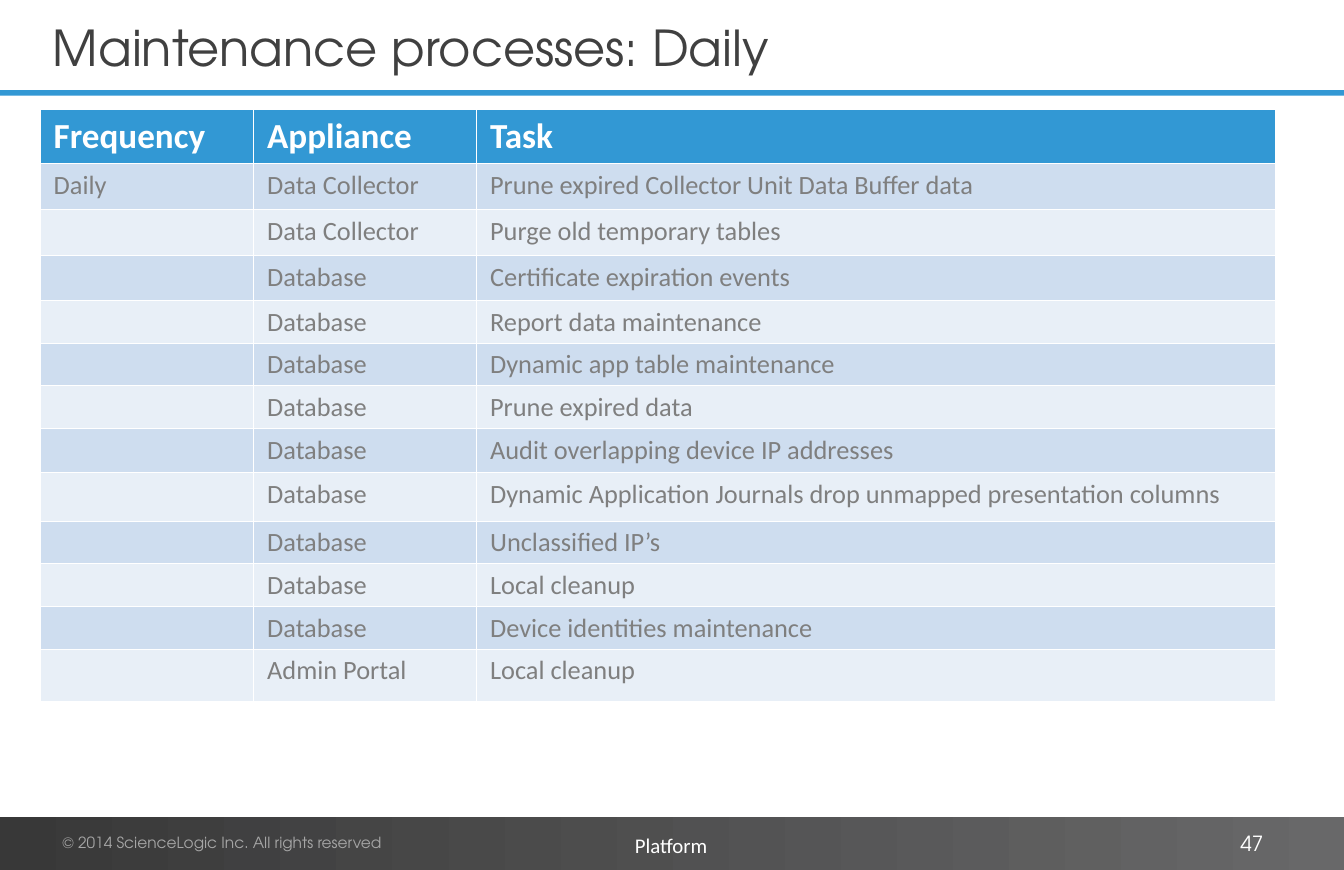
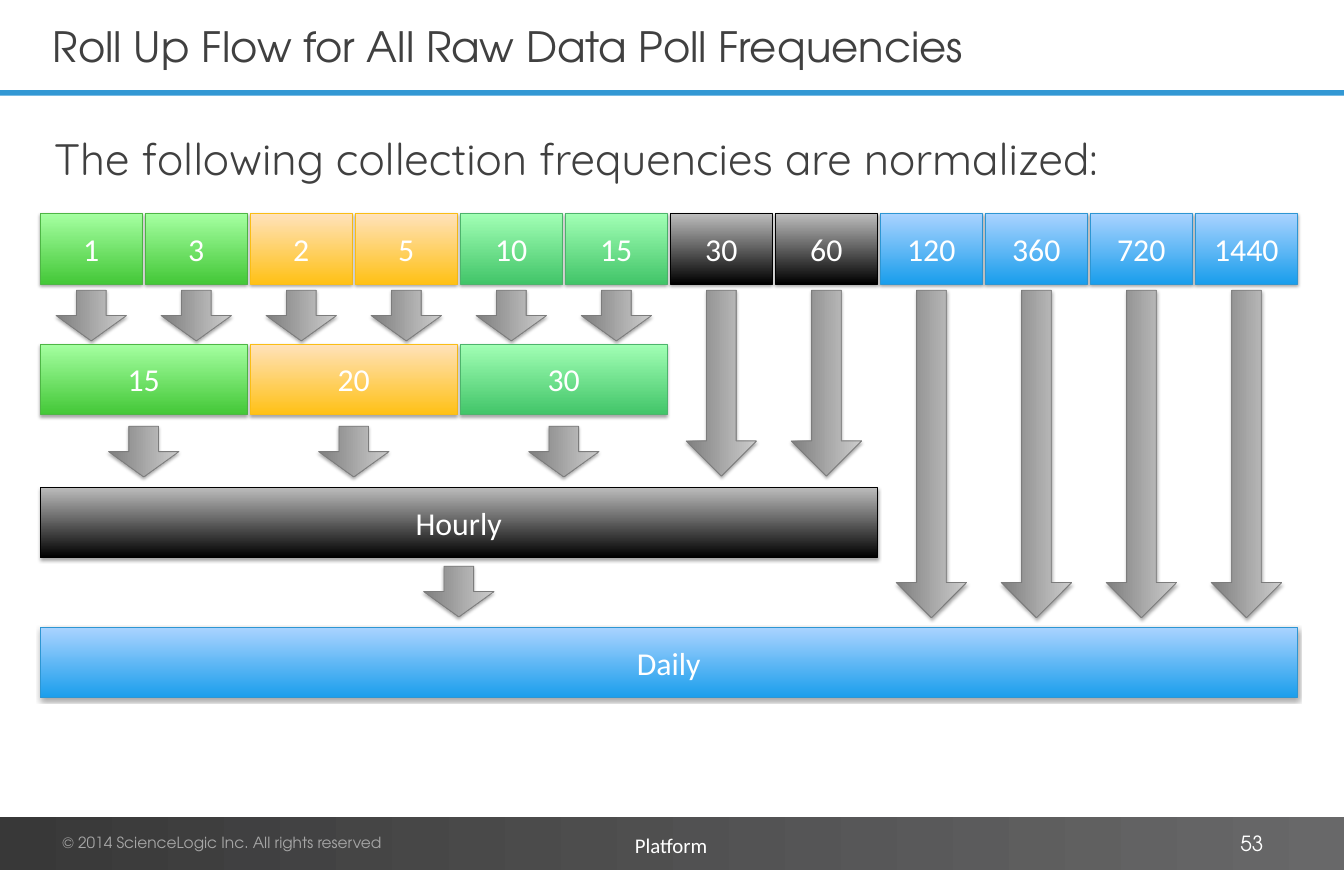
"""Build the daily maintenance table and the data roll-up flow slides."""
from dataclasses import dataclass

from lxml import etree
from pptx import Presentation
from pptx import presentation as pres
from pptx import slide as sl
from pptx import util as u
from pptx.dml import color as dc
from pptx.dml import fill as df
from pptx.enum import shapes, text
from pptx.oxml import ns
from pptx.shapes import autoshape as auto
from pptx.text import text as tx

COLORS = {
    "accent": "3298D4", "white": "FFFFFF", "title": "404040",
    "copyright": "A6A6A6", "cell": "7F7F7F", "black": "000000",
    "odd_row": "CEDDEF", "even_row": "E8EFF7",
    "band_start": "383838", "band_end": "686869",
}
GRADIENTS = {
    "green": ("44C838", "A5FFA1", "4EB645"),
    "amber": ("FFC116", "FFE2BB", "FABD15"),
    "mint": ("42C569", "A2FFB5", "4DB46C"),
    "black": ("000000", "BDBDBD", "000000"),
    "blue": ("1A9EEC", "AAD3FF", "2D96D3"),
    "arrow": ("7F7F7F", "CCCCCC", "7C7C7C"),
}
HEADING, BODY, LIGHT = "TeX Gyre Adventor", "Calibri", "Quicksand"
FLOW_LEFT, FLOW_WIDTH, COLUMNS = 0.51, 15.9, 12
GAP = 0.04
PITCH = (FLOW_WIDTH + GAP) / COLUMNS
BOX_HEIGHT, ARROW_WIDTH = 0.89, 0.89
SHORT, MEDIUM, LONG = 0.64, 2.35, 4.14

COLUMN_WIDTHS = (2.7, 2.82, 10.11)
ROW_HEIGHTS = (0.68, 0.58, 0.58, 0.57, 0.54, 0.54, 0.54, 0.56, 0.61,
               0.54, 0.54, 0.54, 0.66)
TASKS = (
    ("Frequency", "Appliance", "Task"),
    ("Daily", "Data Collector", "Prune expired Collector Unit Data Buffer data"),
    ("", "Data Collector", "Purge old temporary tables"),
    ("", "Database", "Certificate expiration events"),
    ("", "Database", "Report data maintenance"),
    ("", "Database", "Dynamic app table maintenance"),
    ("", "Database", "Prune expired data"),
    ("", "Database", "Audit overlapping device IP addresses"),
    ("", "Database",
     "Dynamic Application Journals drop unmapped presentation columns"),
    ("", "Database", "Unclassified IP’s"),
    ("", "Database", "Local cleanup"),
    ("", "Database", "Device identities maintenance"),
    ("", "Admin Portal", "Local cleanup"),
)


@dataclass(frozen=True)
class Step:
    label: str
    palette: str
    span: int = 1
    arrow: float = SHORT


@dataclass(frozen=True)
class Level:
    top: float
    arrow_top: float
    steps: tuple[Step, ...]


LEVELS = (
    Level(2.7, 3.67, (
        Step("1", "green"), Step("3", "green"),
        Step("2", "amber"), Step("5", "amber"),
        Step("10", "mint"), Step("15", "mint"),
        Step("30", "black", arrow=MEDIUM), Step("60", "black", arrow=MEDIUM),
        Step("120", "blue", arrow=LONG), Step("360", "blue", arrow=LONG),
        Step("720", "blue", arrow=LONG), Step("1440", "blue", arrow=LONG),
    )),
    Level(4.35, 5.39, (
        Step("15", "green", 2), Step("20", "amber", 2), Step("30", "mint", 2),
    )),
    Level(6.16, 7.16, (Step("Hourly", "black", 8),)),
    Level(7.93, 0, (Step("Daily", "blue", 12, 0),)),
)


def rgb(value: str) -> dc.RGBColor:
    return dc.RGBColor.from_string(value)


def inset(target, across: float = 0.16, down: float = 0.08) -> None:
    target.margin_left = target.margin_right = u.Inches(across)
    target.margin_top = target.margin_bottom = u.Inches(down)


def write(frame: tx.TextFrame, words: str, *, size: float, color: str,
          font: str = BODY, bold: bool = False, align=text.PP_ALIGN.LEFT,
          spacing: float = 1.0) -> tx._Paragraph:
    para = frame.paragraphs[0]
    para.alignment = align
    para.line_spacing = spacing
    para.space_before = u.Pt(0)
    span = para.add_run()
    span.text = words
    span.font.size = u.Pt(size)
    span.font.name = font
    span.font.bold = bold
    span.font.color.rgb = rgb(COLORS[color])
    return para


def place(shape, left: float, top: float, width: float, height: float) -> None:
    shape.left, shape.top = u.Inches(left), u.Inches(top)
    shape.width, shape.height = u.Inches(width), u.Inches(height)


def add_box(page: sl.Slide, left: float, top: float, width: float,
            height: float, kind=shapes.MSO_SHAPE.RECTANGLE) -> auto.Shape:
    box = page.shapes.add_shape(kind, *map(u.Inches, (left, top, width, height)))
    box.shadow.inherit = False
    return box


def add_label(page: sl.Slide, words: str, left: float, top: float,
              width: float, height: float, *, wrap: bool = True,
              grow: bool = True, **style) -> auto.Shape:
    box = page.shapes.add_textbox(*map(u.Inches, (left, top, width, height)))
    frame = box.text_frame
    inset(frame)
    frame.word_wrap = wrap
    if grow:
        frame.auto_size = text.MSO_AUTO_SIZE.SHAPE_TO_FIT_TEXT
    else:
        frame.vertical_anchor = text.MSO_ANCHOR.MIDDLE
    write(frame, words, **style)
    return box


def blend(fill: df.FillFormat, start: str, end: str, angle: float) -> None:
    fill.gradient()
    fill.gradient_angle = angle
    for stop, color in zip(fill.gradient_stops, (start, end)):
        stop.color.rgb = rgb(color)


def style_glossy(shape: auto.Shape, palette: str) -> None:
    start, end, edge = GRADIENTS[palette]
    blend(shape.fill, start, end, 90)
    shape.line.color.rgb = rgb(edge)
    shape.line.width = u.Pt(0.75)
    effects = shape.element.spPr.find(ns.qn("a:effectLst"))
    shadow = etree.SubElement(
        effects, ns.qn("a:outerShdw"), blurRad=str(u.Pt(3.1)),
        dist=str(u.Pt(1.8)), dir="5400000", rotWithShape="0")
    tone = etree.SubElement(shadow, ns.qn("a:srgbClr"), val=COLORS["black"])
    etree.SubElement(tone, ns.qn("a:alpha"), val="35000")


def furnish_master(deck: pres.Presentation, page: sl.Slide) -> None:
    rule = add_box(page, 0, 1.14, 17.02, 0.07)
    rule.fill.solid()
    rule.fill.fore_color.rgb = rgb(COLORS["accent"])
    band = add_box(page, 0, 10.33, 17.02, 0.69)
    blend(band.fill, COLORS["band_start"], COLORS["band_end"], 0)
    for bar in (rule, band):
        bar.line.fill.background()
    notice = add_label(page, "© 2014 ScienceLogic Inc. All rights reserved",
                       0.63, 10.46, 5, 0.4, size=14, font=HEADING,
                       color="copyright")
    for number, shape in enumerate((rule, band, notice), 101):
        shape.element.nvSpPr.cNvPr.set("id", str(number))
        deck.slide_master.shapes.element.append(shape.element)


def fill_holder(holder, words: str, bounds: tuple[float, ...], anchor,
                **style) -> tx._Paragraph:
    place(holder, *bounds)
    frame = holder.text_frame
    inset(frame)
    frame.auto_size = text.MSO_AUTO_SIZE.NONE
    frame.vertical_anchor = anchor
    return write(frame, words, **style)


def add_page(deck: pres.Presentation, layout: int, title: str, size: float,
             number: str) -> sl.Slide:
    page = deck.slides.add_slide(deck.slide_layouts[layout])
    fill_holder(page.shapes.title, title, (0.51, 0, 14.85, 1.17),
                text.MSO_ANCHOR.MIDDLE, size=size, font=HEADING, color="title")
    add_label(page, number, 12.17, 10.45, 3.97, 0.43, grow=False, size=19,
              font=HEADING, color="white", align=text.PP_ALIGN.RIGHT)
    add_label(page, "Platform", 7.87, 10.45, 1.26, 0.48, wrap=False, size=19,
              color="white")
    return page


def add_tasks(page: sl.Slide) -> None:
    bounds = (0.51, 1.39, sum(COLUMN_WIDTHS), sum(ROW_HEIGHTS))
    table = page.shapes.add_table(len(TASKS), len(COLUMN_WIDTHS),
                                  *map(u.Inches, bounds)).table
    for column, width in zip(table.columns, COLUMN_WIDTHS):
        column.width = u.Inches(width)
    for index, (row, height) in enumerate(zip(table.rows, ROW_HEIGHTS)):
        row.height = u.Inches(height)
        header = index == 0
        shade = "accent" if header else "odd_row" if index % 2 else "even_row"
        for cell, words in zip(row.cells, TASKS[index]):
            inset(cell, 0.17, 0.07)
            cell.fill.solid()
            cell.fill.fore_color.rgb = rgb(COLORS[shade])
            if words:
                write(cell.text_frame, words, size=32 if header else 24,
                      color="white" if header else "cell", bold=header)


def add_arrow(page: sl.Slide, center: float, top: float, length: float) -> None:
    arrow = add_box(page, center - length / 2,
                    top + (length - ARROW_WIDTH) / 2, length, ARROW_WIDTH,
                    shapes.MSO_SHAPE.RIGHT_ARROW)
    arrow.rotation = 90
    arrow.adjustments[0] = 0.42
    arrow.adjustments[1] = 0.5
    style_glossy(arrow, "arrow")


def add_flow(page: sl.Slide) -> None:
    for level in LEVELS:
        left = FLOW_LEFT
        for step in level.steps:
            width = step.span * PITCH - GAP
            box = add_box(page, left, level.top, width, BOX_HEIGHT)
            style_glossy(box, step.palette)
            inset(box.text_frame)
            box.text_frame.vertical_anchor = text.MSO_ANCHOR.MIDDLE
            write(box.text_frame, step.label, size=29, color="white",
                  align=text.PP_ALIGN.CENTER)
            if step.arrow:
                add_arrow(page, left + width / 2, level.arrow_top, step.arrow)
            left += step.span * PITCH


def add_intro(page: sl.Slide) -> None:
    para = fill_holder(
        page.placeholders[1],
        "The following collection frequencies are normalized:",
        (0.52, 1.52, 15.63, 8.47), text.MSO_ANCHOR.TOP, size=40, font=LIGHT,
        color="title", spacing=1.1)
    properties = para._p.get_or_add_pPr()
    properties.set("marL", "0")
    properties.set("indent", "0")
    etree.SubElement(properties, ns.qn("a:buNone"))


def main() -> None:
    deck = Presentation()
    deck.slide_width, deck.slide_height = u.Inches(17), u.Inches(11)
    daily = add_page(deck, 5, "Maintenance processes: Daily", 45, "47")
    furnish_master(deck, daily)
    add_tasks(daily)
    flow = add_page(deck, 1, "Roll Up Flow for All Raw Data Poll Frequencies",
                    38, "53")
    add_intro(flow)
    add_flow(flow)
    deck.save("out.pptx")


if __name__ == "__main__":
    main()
